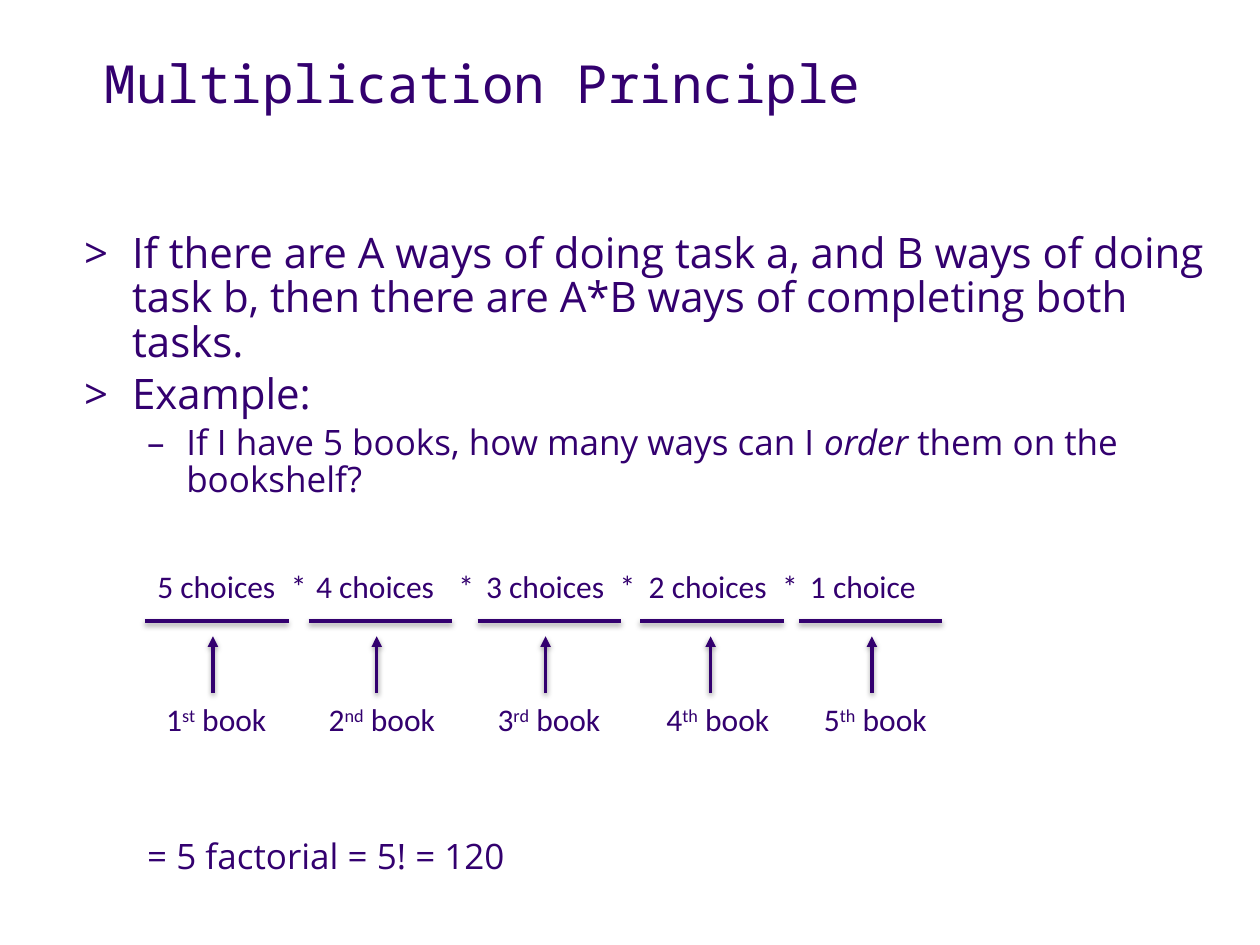
from lxml import etree
from pptx import Presentation
from pptx.dml.color import RGBColor
from pptx.enum.shapes import MSO_CONNECTOR
from pptx.enum.text import MSO_ANCHOR, PP_ALIGN
from pptx.oxml import parse_xml
from pptx.oxml.ns import nsdecls, qn
from pptx.util import Inches, Pt

COLORS = {"purple": "33006F", "shadow": "000000"}
FONTS = {"title": "Noto Sans Mono", "body": "Open Sans", "diagram": "Calibri"}

# bar left, arrow x, choice left, book left, choice, tab stop, ordinal
BOOKS = [
    (1.15, 1.69, 1.15, 1.22, "5 choices", 1.06, "st"),
    (2.45, 2.99, 2.41, 2.51, "4 choices", 1.13, "nd"),
    (3.79, 4.33, 3.76, 3.85, "3 choices", 1.06, "rd"),
    (5.08, 5.64, 5.05, 5.19, "2 choices", 1.06, "th"),
    (6.34, 6.92, 6.33, 6.44, "1 choice", None, "th"),
]


def add_run(para, text, font, size, italic=False, raised=False):
    span = para.add_run()
    span.text = text
    span.font.name = font
    span.font.size = Pt(size)
    span.font.color.rgb = RGBColor.from_string(COLORS["purple"])
    if italic:
        span.font.italic = True
    if raised:
        span.font._element.set("baseline", "30000")


def add_text_box(page, left, top, width, height, wrap=True):
    box = page.shapes.add_textbox(Inches(left), Inches(top), Inches(width), Inches(height))
    box.text_frame.word_wrap = wrap
    return box.text_frame


def set_bullet(para, mark, margin, indent):
    properties = para._p.get_or_add_pPr()
    properties.set("marL", str(Inches(margin)))
    properties.set("indent", str(Inches(indent)))
    etree.SubElement(properties, qn("a:buFont")).set("typeface", FONTS["body"])
    etree.SubElement(properties, qn("a:buChar")).set("char", mark)


def add_title(page, left, top, width, height):
    title = page.shapes.title
    title.left, title.top = Inches(left), Inches(top)
    title.width, title.height = Inches(width), Inches(height)
    title.text_frame.vertical_anchor = MSO_ANCHOR.TOP
    para = title.text_frame.paragraphs[0]
    para.alignment = PP_ALIGN.LEFT
    para.line_spacing = 0.9
    add_run(para, "Multiplication Principle", FONTS["title"], 30)


def add_points(page, left, top, width, height):
    points = [
        (0, [("If there are A ways of doing task a, and B ways of doing task b, "
              "then there are A*B ways of completing both tasks.", False)]),
        (0, [("Example:", False)]),
        (1, [("If I have 5 books, how many ways can I ", False), ("order", True),
             (" them on the bookshelf?", False)]),
    ]
    levels = [(">", 0.38, -0.38, 24), ("–", 0.81, -0.31, 20)]
    frame = add_text_box(page, left, top, width, height)
    for index, (level, spans) in enumerate(points):
        para = frame.add_paragraph() if index else frame.paragraphs[0]
        mark, margin, indent, size = levels[level]
        para.level = level
        para.line_spacing = 0.88
        para.space_before = Pt(size / 5)
        set_bullet(para, mark, margin, indent)
        for text, italic in spans:
            add_run(para, text, FONTS["body"], size, italic)


def add_line(page, start, end, arrow=False):
    line = page.shapes.add_connector(
        MSO_CONNECTOR.STRAIGHT, *(Inches(value) for value in (*start, *end)))
    line.line.color.rgb = RGBColor.from_string(COLORS["purple"])
    line.line.width = Pt(2)
    if arrow:
        etree.SubElement(line.line._get_or_add_ln(), qn("a:tailEnd")).set("type", "triangle")
    line._element.spPr.append(parse_xml(
        f'<a:effectLst {nsdecls("a")}><a:outerShdw blurRad="{Pt(3.1)}" dist="{Pt(1.6)}" '
        f'dir="5400000" rotWithShape="0"><a:srgbClr val="{COLORS["shadow"]}">'
        '<a:alpha val="38000"/></a:srgbClr></a:outerShdw></a:effectLst>'))


def add_choice(page, left, top, text, tab_stop):
    """Write the choices, with a tab before the multiplication sign."""
    frame = add_text_box(page, left, top, 1.39, 0.4)
    frame.margin_right = 0
    para = frame.paragraphs[0]
    add_run(para, text, FONTS["diagram"], 18)
    if tab_stop:
        tabs = etree.SubElement(para._p.get_or_add_pPr(), qn("a:tabLst"))
        tab = etree.SubElement(tabs, qn("a:tab"))
        tab.set("pos", str(Inches(tab_stop)))
        tab.set("algn", "l")
        add_run(para, "\t*", FONTS["diagram"], 18)


def add_book_diagram(page, top):
    for number, book in enumerate(BOOKS, start=1):
        bar_left, arrow_x, choice_left, label_left, choice, tab_stop, ordinal = book
        bar_y = top + 0.48
        add_line(page, (bar_left, bar_y), (bar_left + 1.14, bar_y))
        add_line(page, (arrow_x, top + 1.05), (arrow_x, top + 0.6), arrow=True)
        add_choice(page, choice_left, top, choice, tab_stop)
        frame = add_text_box(page, label_left, top + 1.06, 1.05, 0.4, wrap=False)
        para = frame.paragraphs[0]
        add_run(para, str(number), FONTS["diagram"], 18)
        add_run(para, ordinal, FONTS["diagram"], 18, raised=True)
        add_run(para, " book", FONTS["diagram"], 18)


def add_result(page, left, top, width, height):
    frame = add_text_box(page, left, top, width, height)
    add_run(frame.paragraphs[0], "= 5 factorial = 5! = 120", FONTS["body"], 20)


def main():
    deck = Presentation()
    deck.slide_width, deck.slide_height = Inches(10), Inches(7.5)
    page = deck.slides.add_slide(deck.slide_layouts[5])
    add_title(page, 0.73, 0.41, 8.95, 1.08)
    add_points(page, 0.57, 1.8, 9.11, 2.5)
    add_book_diagram(page, 4.45)
    add_result(page, 1.07, 6.57, 8.61, 0.48)
    deck.save("out.pptx")


if __name__ == "__main__":
    main()
